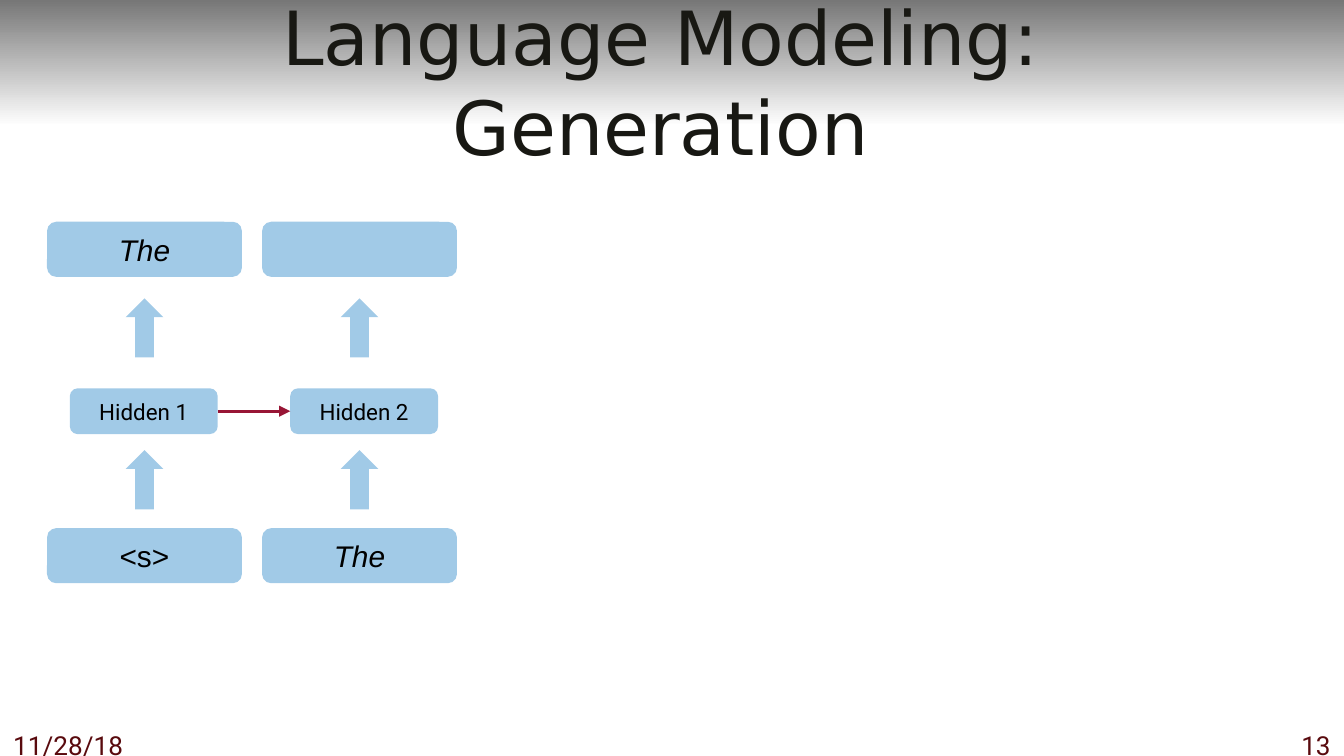
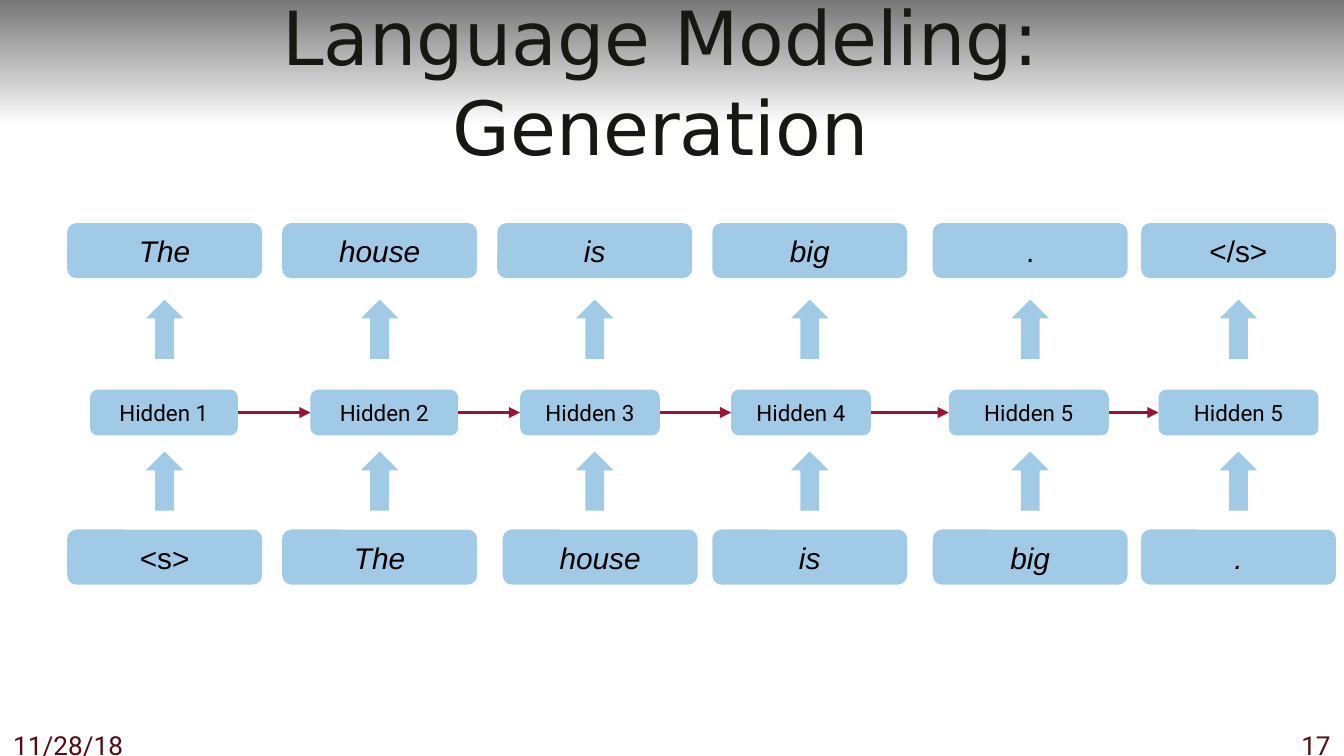
"""Build two slides that show text generation with a recurrent language model."""
from lxml import etree
from pptx import Presentation
from pptx.dml.color import RGBColor
from pptx.enum.shapes import MSO_CONNECTOR, MSO_SHAPE
from pptx.enum.text import MSO_ANCHOR, MSO_AUTO_SIZE, PP_ALIGN
from pptx.oxml.ns import qn
from pptx.util import Inches, Pt

STRAIGHT = MSO_CONNECTOR.STRAIGHT
RECTANGLE, ROUNDED, UP_ARROW = MSO_SHAPE.RECTANGLE, MSO_SHAPE.ROUNDED_RECTANGLE, MSO_SHAPE.UP_ARROW
MIDDLE = MSO_ANCHOR.MIDDLE
NO_AUTOFIT = MSO_AUTO_SIZE.NONE
LEFT, CENTER, RIGHT = PP_ALIGN.LEFT, PP_ALIGN.CENTER, PP_ALIGN.RIGHT

BAND_COLORS = ("777777", "FFFFFF")
TITLE_COLOR, FOOTER_COLOR, TEXT_COLOR = "181813", "590A0E", "000000"
BLOCK_COLOR, BLOCK_OPACITY, LINK_COLOR = "0070C0", 37, "981535"

TOKEN_WIDTH, TOKEN_HEIGHT = 1.45, 0.41
HIDDEN_HEIGHT = 0.34
ARROW_WIDTH, ARROW_HEIGHT = 0.28, 0.44
OUTPUT_TOP, HIDDEN_TOP, INPUT_TOP = 1.66, 2.9, 3.94
ARROW_TOPS = (2.23, 3.36)
PLAIN_OUTPUTS, PLAIN_INPUTS = (".", "</s>"), ("<s>",)

# Each step: output left, input left, hidden left, hidden width, hidden label, input, output
STEPS = [
    (0.5, 0.5, 0.67, 1.1, "Hidden 1", "<s>", "The"),
    (2.1, 2.1, 2.31, 1.1, "Hidden 2", "The", "house"),
    (3.7, 3.74, 3.87, 1.04, "Hidden 3", "house", "is"),
    (5.3, 5.3, 5.44, 1.04, "Hidden 4", "is", "big"),
    (6.94, 6.94, 7.06, 1.19, "Hidden 5", "big", "."),
    (8.49, 8.49, 8.62, 1.19, "Hidden 5", ".", "</s>"),
]
# Each slide: number, visible steps, visible outputs, horizontal shift, vertical shift
SLIDES = [("13", 2, 1, -0.15, -0.01), ("17", 6, 6, 0, 0)]


def add_run(paragraph, text, size, font_name, color, italic=False):
    """Add one formatted run to the paragraph."""
    run = paragraph.add_run()
    run.text = text
    run.font.size = Pt(size)
    run.font.name = font_name
    run.font.italic = italic
    run.font.color.rgb = RGBColor.from_string(color)


def add_block(slide, preset, left, top, width, height, text="", size=16, font_name="Arial", italic=False):
    """Add a translucent block with an optional centred label."""
    block = slide.shapes.add_shape(preset, Inches(left), Inches(top), Inches(width), Inches(height))
    block.shadow.inherit = False
    block.line.fill.background()
    block.fill.solid()
    block.fill.fore_color.rgb = RGBColor.from_string(BLOCK_COLOR)
    color = block.element.spPr.find(qn("a:solidFill"))[0]
    etree.SubElement(color, qn("a:alpha"), val=str(BLOCK_OPACITY * 1000))
    if text:
        block.text_frame.vertical_anchor = MIDDLE
        paragraph = block.text_frame.paragraphs[0]
        paragraph.alignment = CENTER
        add_run(paragraph, text, size, font_name, TEXT_COLOR, italic)
    return block


presentation = Presentation()
presentation.slide_width = Inches(10)
presentation.slide_height = presentation.slide_width * 9 // 16
layout = presentation.slide_layouts.get_by_name("Title Only")
slides = [presentation.slides.add_slide(layout) for entry in SLIDES]

band = slides[0].shapes.add_shape(RECTANGLE, 0, 0, presentation.slide_width, Inches(0.94))
band.shadow.inherit = False
band.line.fill.background()
band.fill.gradient()
band.fill.gradient_angle = 270
for stop, color in zip(band.fill.gradient_stops, BAND_COLORS):
    stop.color.rgb = RGBColor.from_string(color)
layout.placeholders[0].element.addprevious(band.element)

for slide, (number, step_count, output_count, shift_x, shift_y) in zip(slides, SLIDES):
    title = slide.shapes.title
    title.left, title.top, title.width, title.height = Inches(0.04), Inches(0.16), Inches(9.75), Inches(0.88)
    title.text_frame.auto_size = NO_AUTOFIT
    title.text_frame.vertical_anchor = MIDDLE
    paragraph = title.text_frame.paragraphs[0]
    paragraph.alignment = CENTER
    add_run(paragraph, "Language Modeling:", 40, "DejaVu Sans", TITLE_COLOR)
    paragraph.add_line_break()
    add_run(paragraph, "Generation", 40, "DejaVu Sans", TITLE_COLOR)

    for text, left, width, alignment in (("11/28/18", 0, 1.33, LEFT), (number, 9.5, 0.5, RIGHT)):
        footer = slide.shapes.add_textbox(Inches(left), Inches(5.38), Inches(width), Inches(0.25))
        footer.text_frame.word_wrap = True
        paragraph = footer.text_frame.paragraphs[0]
        paragraph.alignment = alignment
        add_run(paragraph, text, 14, "Roboto", FOOTER_COLOR)

    previous_hidden = None
    for index, step in enumerate(STEPS[:step_count]):
        output_left, input_left, hidden_left, hidden_width, label, input_token, output_token = step
        if index >= output_count:
            output_token = ""
        add_block(slide, ROUNDED, input_left + shift_x, INPUT_TOP + shift_y, TOKEN_WIDTH, TOKEN_HEIGHT,
                  input_token, italic=input_token not in PLAIN_INPUTS)
        add_block(slide, ROUNDED, output_left + shift_x, OUTPUT_TOP + shift_y, TOKEN_WIDTH, TOKEN_HEIGHT,
                  output_token, italic=output_token not in PLAIN_OUTPUTS)
        hidden = add_block(slide, ROUNDED, hidden_left + shift_x, HIDDEN_TOP + shift_y, hidden_width,
                           HIDDEN_HEIGHT, label, 12, "Roboto")
        arrow_left = output_left + shift_x + (TOKEN_WIDTH - ARROW_WIDTH) / 2
        for arrow_top in ARROW_TOPS:
            add_block(slide, UP_ARROW, arrow_left, arrow_top + shift_y, ARROW_WIDTH, ARROW_HEIGHT)

        if previous_hidden is not None:
            link = slide.shapes.add_connector(STRAIGHT, 0, 0, 0, 0)
            link.begin_connect(previous_hidden, 3)
            link.end_connect(hidden, 1)
            link.line.width = Pt(1.75)
            link.line.color.rgb = RGBColor.from_string(LINK_COLOR)
            properties = link.element.spPr
            etree.SubElement(properties.find(qn("a:ln")), qn("a:tailEnd"), type="triangle")
            etree.SubElement(properties, qn("a:effectLst"))
        previous_hidden = hidden

presentation.save("out.pptx")
